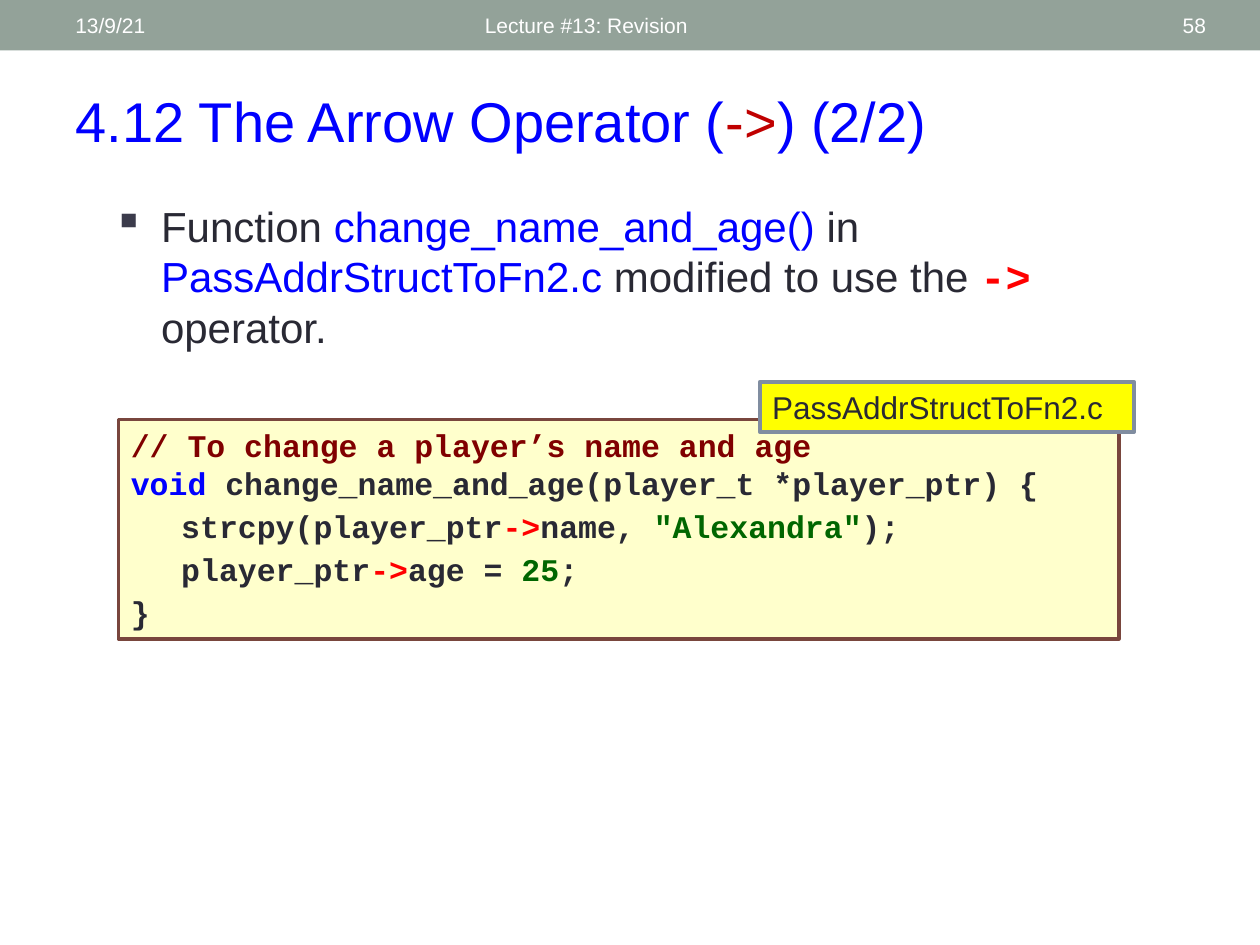
from pptx import Presentation
from pptx.dml.color import RGBColor
from pptx.enum.shapes import MSO_SHAPE as SHAPE
from pptx.enum.text import MSO_ANCHOR as ANCHOR, PP_ALIGN as ALIGN
from pptx.oxml import parse_xml
from pptx.oxml.ns import nsdecls
from pptx.util import Inches, Pt

WHITE = RGBColor(0xFF, 0xFF, 0xFF)
SAGE = RGBColor(0x93, 0xA2, 0x99)
INK = RGBColor(0x29, 0x29, 0x34)
BLUE = RGBColor(0x00, 0x00, 0xFF)
DARK_RED = RGBColor(0xC0, 0x00, 0x00)
RED = RGBColor(0xFF, 0x00, 0x00)
MAROON = RGBColor(0x80, 0x00, 0x00)
GREEN = RGBColor(0x00, 0x66, 0x00)
CREAM = RGBColor(0xFF, 0xFF, 0xCC)
BROWN = RGBColor(0x79, 0x46, 0x3D)
YELLOW = RGBColor(0xFF, 0xFF, 0x00)
STEEL = RGBColor(0x80, 0x8D, 0xA0)

prs = Presentation()
prs.slide_width, prs.slide_height = Inches(10), Inches(7.5)
s = prs.slides.add_slide(prs.slide_layouts[6])


def add_box(left, top, width, height, fill=None, line=None):
    """Add a rectangle if a fill is given, else a text box; return the shape."""
    at = [Inches(v) for v in (left, top, width, height)]
    if fill is None:
        sp = s.shapes.add_textbox(*at)
    else:
        sp = s.shapes.add_shape(SHAPE.RECTANGLE, *at)
        sp.shadow.inherit = False
        sp.fill.solid()
        sp.fill.fore_color.rgb = fill
        if line is None:
            sp.line.fill.background()
        else:
            sp.line.color.rgb = line
            sp.line.width = Pt(2.08)
    sp.text_frame.word_wrap = True
    sp.text_frame.vertical_anchor = ANCHOR.TOP
    return sp


def add_runs(p, runs, size, align=ALIGN.LEFT, name="Arial", bold=False):
    """Fill a paragraph from (text, colour[, font values]) tuples."""
    p.alignment = align
    for text, color, *changes in runs:
        r = p.add_run()
        r.text = text
        r.font.color.rgb = color
        values = {"size": Pt(size), "name": name, "bold": bold}
        for change in changes:
            values.update(change)
        for key, value in values.items():
            setattr(r.font, key, value)


# Header band
add_box(0, 0, 10, 0.4, SAGE)
for text, left, width, align in [
    ("Lecture #13: Revision", 3.75, 4.5, ALIGN.LEFT),
    ("13/9/21", 0.5, 3.17, ALIGN.LEFT),
    ("58", 8.72, 0.95, ALIGN.RIGHT),
]:
    tf = add_box(left, 0.02, width, 0.36).text_frame
    tf.vertical_anchor = ANCHOR.MIDDLE
    add_runs(tf.paragraphs[0], [(text, WHITE)], 12, align)

# Title
tf = add_box(0.5, 0.64, 9.17, 0.64).text_frame
title = [("4.12 The Arrow Operator (", BLUE), ("->", DARK_RED), (") (2/2)", BLUE)]
add_runs(tf.paragraphs[0], title, 32)

# Bullet
p = add_box(0.8, 1.54, 8.57, 1.09).text_frame.paragraphs[0]
pPr = p._p.get_or_add_pPr()
pPr.set("marL", str(Inches(0.38)))
pPr.set("indent", str(-Inches(0.38)))
pPr.append(parse_xml(f'<a:buClr {nsdecls("a")}><a:srgbClr val="3B3B4B"/></a:buClr>'))
pPr.append(parse_xml(f'<a:buChar {nsdecls("a")} char="▪"/>'))
add_runs(p, [
    ("Function ", INK),
    ("change_name_and_age() ", BLUE),
    ("in", INK),
    (" PassAddrStructToFn2.c", BLUE),
    (" modified to use the ", INK),
    ("->", RED, {"name": "Courier New", "bold": True}),
    (" operator.", INK),
], 24)

# Code listing: each line is (space after, runs)
code = [
    (0, [("// To change a player’s name and age", MAROON)]),
    (3, [("void ", BLUE), ("change_name_and_age(player_t *player_ptr) {", INK)]),
    (3, [("\tstrcpy(player_ptr", INK), ("->", RED), ("name, ", INK),
         ('"Alexandra"', GREEN), (");", INK)]),
    (3, [("\tplayer_ptr", INK), ("->", RED), ("age = ", INK), ("25", GREEN), (";", INK)]),
    (0, [("}", INK)]),
]
tf = add_box(0.94, 3.33, 7.94, 1.74, CREAM, BROWN).text_frame
for i, (after, runs) in enumerate(code):
    p = tf.add_paragraph() if i else tf.paragraphs[0]
    p._p.get_or_add_pPr().append(parse_xml(
        f'<a:tabLst {nsdecls("a")}><a:tab pos="{Inches(0.4)}" algn="l"/></a:tabLst>'))
    p.space_after = Pt(after)
    add_runs(p, runs, 18, name="Courier New", bold=True)

# File name label
tf = add_box(6.03, 3.03, 2.97, 0.4, YELLOW, STEEL).text_frame
add_runs(tf.paragraphs[0], [("PassAddrStructToFn2.c", INK)], 18)

prs.save("out.pptx")
